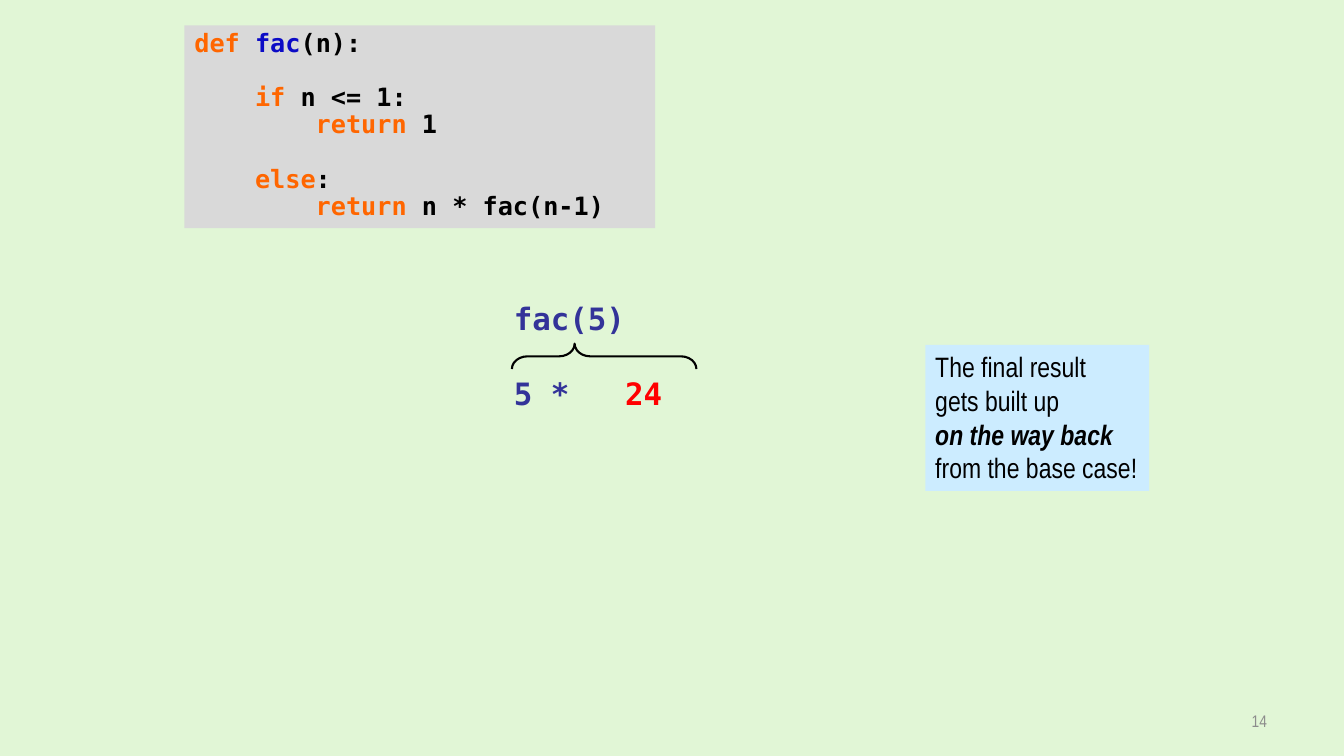
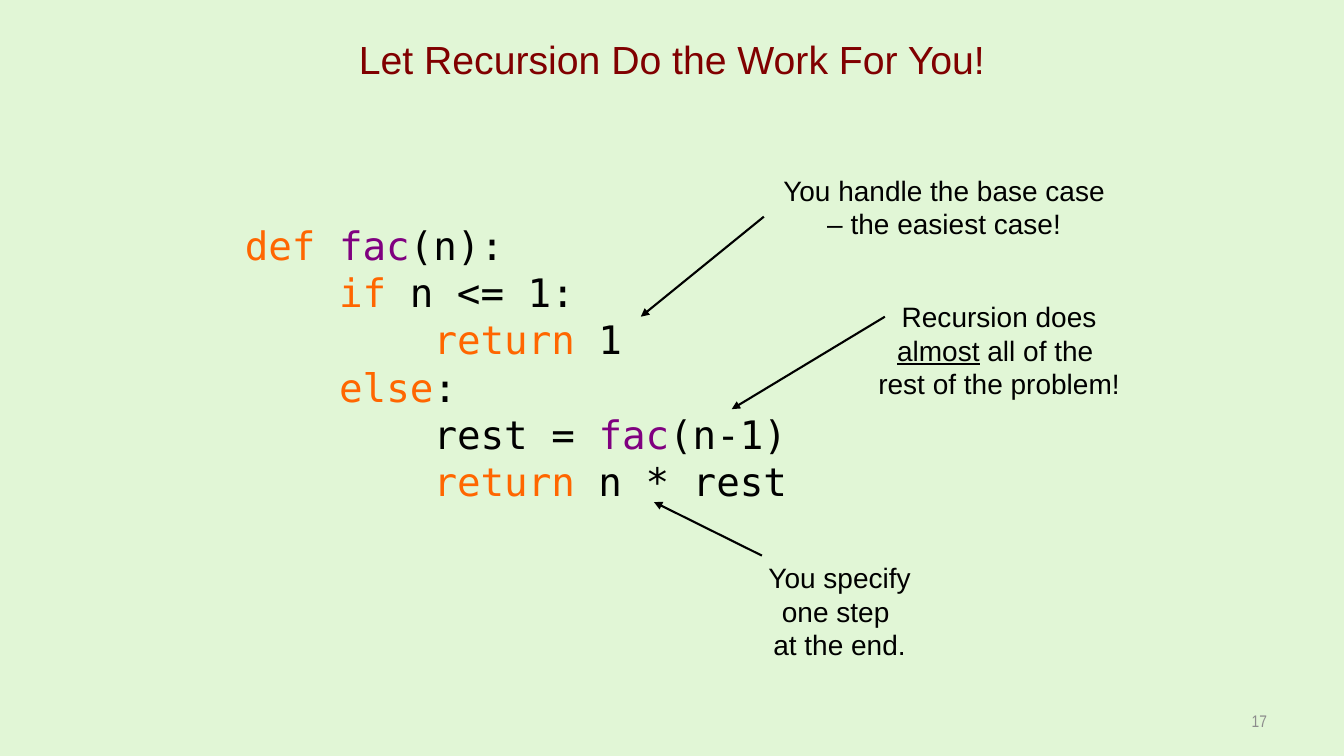
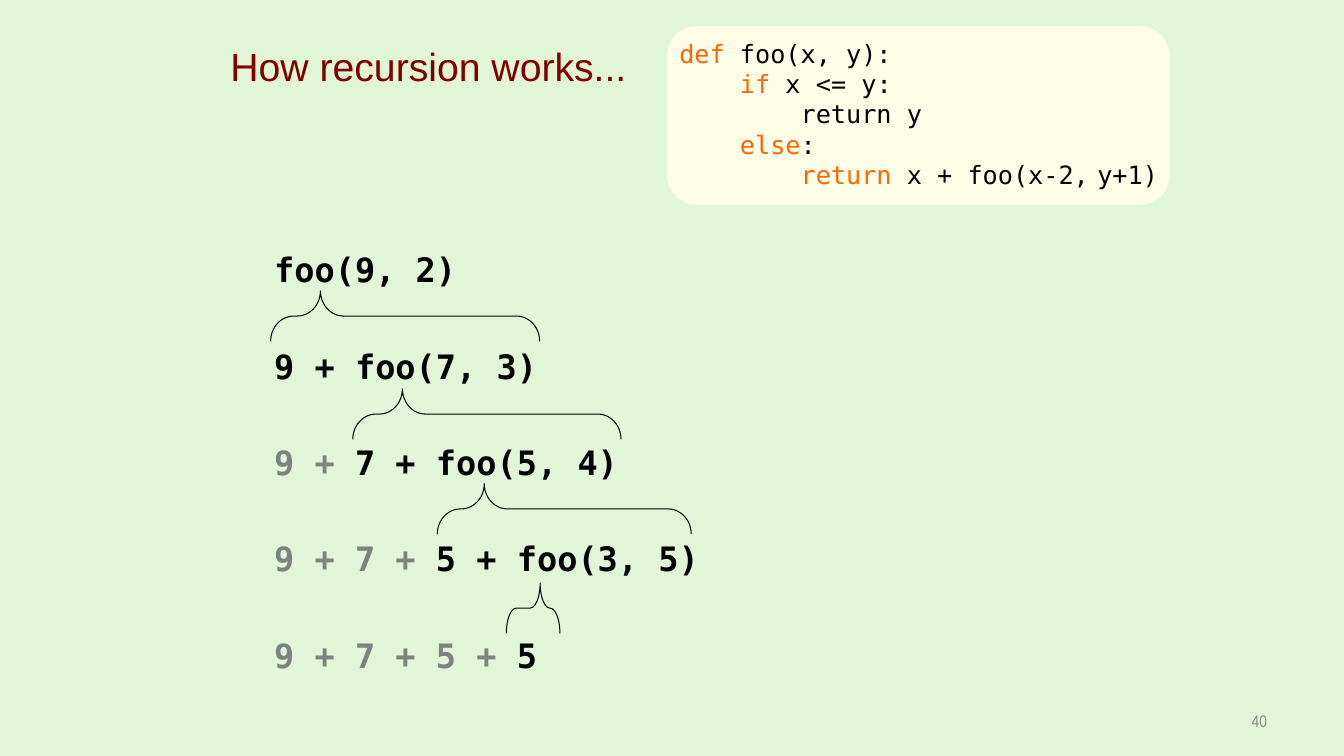
from dataclasses import dataclass
from typing import NamedTuple

from lxml import etree
from pptx import Presentation
from pptx import util as u
from pptx.dml.color import RGBColor
from pptx.enum import shapes, text
from pptx.oxml import ns

COLORS = {
    "background": "E1F6D6", "title": "800000", "ink": "000000",
    "keyword": "FF6600", "name": "0C0BC6", "call": "800080",
    "trace": "333399", "result": "FF0000", "done": "808080",
    "page": "8C8C8C", "code box": "D9D9D9", "note box": "CCECFF",
    "round box": "FFFFE7",
}
MONO, SANS, NARROW = "DejaVu Sans Mono", "Arial", "Arial Narrow"
MONO_ADVANCE = 0.602  # width of a monospaced character, in ems
TITLE_ONLY, BLANK = 5, 6


class Box(NamedTuple):
    """Left, top, width and height in centimetres."""
    left: float
    top: float
    width: float
    height: float

    def lengths(self):
        return [u.Cm(value) for value in self]


@dataclass(frozen=True)
class Style:
    font: str
    size: float
    color: str = "ink"
    bold: bool = False
    align: text.PP_ALIGN = text.PP_ALIGN.LEFT
    spacing: float | u.Length | None = None


@dataclass(frozen=True)
class Span:
    text: str
    color: str | None = None
    size: float | None = None
    bold: bool | None = None
    italic: bool | None = None
    underline: bool | None = None


@dataclass(frozen=True)
class Line:
    spans: tuple[Span, ...]
    level: int = 0       # code indentation, four characters each
    before: float = 0    # space above, in points
    tab: int = 0         # tab stop, in characters


@dataclass(frozen=True)
class Brace:
    """A brace that points up; peak is measured from its right end."""
    left: float
    top: float
    span: float
    depth: float
    curl: float
    peak: float
    weight: float = 0.75


@dataclass(frozen=True)
class Callout:
    box: Box
    spans: tuple[Span, ...]
    start: tuple[float, float]
    tip: tuple[float, float]


TITLE = Style(SANS, 28, "title", align=text.PP_ALIGN.CENTER)
PAGE = Style(NARROW, 12, "page", align=text.PP_ALIGN.RIGHT)


def rgb(color: str) -> RGBColor:
    return RGBColor.from_string(COLORS[color])


def line(*parts: str | Span, level: int = 0, before: float = 0, tab: int = 0) -> Line:
    spans = tuple(Span(part) if isinstance(part, str) else part for part in parts)
    return Line(spans, level, before, tab)


def keyword(word: str) -> Span:
    return Span(word, "keyword")


def write(frame, lines: list[Line], style: Style) -> None:
    for index, content in enumerate(lines):
        paragraph = frame.paragraphs[0] if index == 0 else frame.add_paragraph()
        paragraph.alignment = style.align
        advance = MONO_ADVANCE * style.size
        properties = paragraph._p.get_or_add_pPr()
        if content.level:
            properties.set("marL", str(u.Pt(4 * content.level * advance)))
            properties.set("indent", "0")
        if content.tab:
            stops = etree.SubElement(properties, ns.qn("a:tabLst"))
            etree.SubElement(stops, ns.qn("a:tab"),
                             pos=str(u.Pt(content.tab * advance)), algn="l")
        if style.spacing:
            paragraph.line_spacing = style.spacing
        if content.before:
            paragraph.space_before = u.Pt(content.before)
        font = paragraph.font
        font.name, font.size, font.bold = style.font, u.Pt(style.size), style.bold
        font.color.rgb = rgb(style.color)
        for span in content.spans:
            if span.text == "\n":
                paragraph.add_line_break()
                continue
            run = paragraph.add_run()
            run.text = span.text
            if span.color:
                run.font.color.rgb = rgb(span.color)
            if span.size:
                run.font.size = u.Pt(span.size)
            for trait in ("bold", "italic", "underline"):
                if getattr(span, trait):
                    setattr(run.font, trait, True)


def add_text(slide, box: Box, lines: list[Line], style: Style,
             anchor=text.MSO_ANCHOR.TOP) -> None:
    frame = slide.shapes.add_textbox(*box.lengths()).text_frame
    frame.word_wrap = True
    frame.vertical_anchor = anchor
    write(frame, lines, style)


def add_panel(slide, kind, box: Box, fill: str):
    panel = slide.shapes.add_shape(kind, *box.lengths())
    panel.shadow.inherit = False
    panel.fill.solid()
    panel.fill.fore_color.rgb = rgb(fill)
    panel.line.fill.background()
    panel.text_frame.vertical_anchor = text.MSO_ANCHOR.TOP
    return panel


def add_title(slide, words: str, box: Box, style: Style, anchor) -> None:
    title = slide.shapes.title
    title.left, title.top, title.width, title.height = box.lengths()
    frame = title.text_frame
    frame.auto_size = text.MSO_AUTO_SIZE.NONE
    frame.word_wrap = True
    frame.vertical_anchor = anchor
    write(frame, [line(words)], style)


def add_brace(slide, brace: Brace) -> None:
    # The upright frame shares its centre with the turned one
    shift = (brace.span - brace.depth) / 2
    frame = Box(brace.left + shift, brace.top - shift, brace.depth, brace.span)
    shape = slide.shapes.add_shape(shapes.MSO_SHAPE.LEFT_BRACE, *frame.lengths())
    shape.rotation = 90
    shape.adjustments[0], shape.adjustments[1] = brace.curl, brace.peak
    shape.shadow.inherit = False
    shape.fill.background()
    shape.line.color.rgb = rgb("ink")
    shape.line.width = u.Pt(brace.weight)


def add_arrow(slide, start: tuple[float, float], tip: tuple[float, float]) -> None:
    ends = [u.Cm(value) for value in (*start, *tip)]
    arrow = slide.shapes.add_connector(shapes.MSO_CONNECTOR.STRAIGHT, *ends)
    arrow.line.color.rgb = rgb("ink")
    arrow.line.width = u.Pt(1.5)
    properties = arrow._element.spPr
    etree.SubElement(properties.find(ns.qn("a:ln")), ns.qn("a:tailEnd"), type="triangle")
    etree.SubElement(properties, ns.qn("a:effectLst"))


def new_slide(deck, layout: int, page: int):
    slide = deck.slides.add_slide(deck.slide_layouts[layout])
    add_text(slide, Box(24.28, 17.65, 7.9, 1.02), [line(str(page))], PAGE,
             text.MSO_ANCHOR.MIDDLE)
    return slide


def build_way_back(deck) -> None:
    slide = new_slide(deck, BLANK, 14)

    # Factorial code
    code = add_panel(slide, shapes.MSO_SHAPE.RECTANGLE,
                     Box(4.65, 0.64, 11.86, 5.11), "code box")
    blank_line = 19.5
    write(code.text_frame, [
        line(keyword("def "), Span("fac", "name"), "(n):"),
        line(keyword("if"), " n <= 1:", level=1, before=blank_line),
        line(keyword("return"), " 1", level=2),
        line(keyword("else"), ":", level=1, before=blank_line),
        line(keyword("return"), " n * fac(n-1)", level=2),
    ], Style(MONO, 18, bold=True, spacing=0.9))

    # Last step of the evaluation
    trace = Style(MONO, 22, "trace", bold=True)
    add_text(slide, Box(12.7, 7.42, 8.26, 1.19), [line("fac(5)")], trace)
    add_text(slide, Box(12.7, 9.32, 8.89, 1.19),
             [line("5 *\t", Span("24", "result"), tab=6)], trace)
    add_brace(slide, Brace(12.9, 8.66, 4.65, 0.64, 0.61, 0.66, weight=1.5))

    # Remark
    note = add_panel(slide, shapes.MSO_SHAPE.RECTANGLE,
                     Box(23.32, 8.69, 5.64, 3.68), "note box")
    note.text_frame.word_wrap = False
    write(note.text_frame, [
        line("The final result "),
        line("gets built up "),
        line(Span("on the way back ", bold=True, italic=True)),
        line("from the base case!"),
    ], Style(NARROW, 20))


def build_let_recursion_work(deck) -> None:
    slide = new_slide(deck, TITLE_ONLY, 17)
    add_title(slide, "Let Recursion Do the Work For You!",
              Box(5.5, 0.2, 22.86, 2.54), TITLE, text.MSO_ANCHOR.MIDDLE)

    # Factorial code
    add_text(slide, Box(5.92, 5.46, 21.39, 7.44), [
        line(keyword("def "), Span("fac", "call"), "(n):"),
        line(keyword("if"), " n <= 1: ", level=1),
        line(keyword("return"), " 1", level=2),
        line(keyword("else"), ": ", level=1),
        line("rest = ", Span("fac", "call"), "(n-1)", level=2),
        line(keyword("return"), " n * rest", level=2),
    ], Style(MONO, 28))

    # Remarks with arrows into the code
    callouts = [
        Callout(Box(19.25, 4.24, 9.09, 1.96),
                (Span("You handle the base case – the easiest case!"),),
                (19.25, 5.46), (16.15, 7.98)),
        Callout(Box(21.56, 7.42, 7.24, 2.82),
                (Span("Recursion does "), Span("almost", underline=True),
                 Span(" all of the "), Span("\n"), Span("rest of the problem!")),
                (22.3, 7.98), (18.44, 10.31)),
        Callout(Box(18.67, 14, 4.98, 2.82),
                (Span("You specify one step "), Span("\n"), Span("at the end.")),
                (19.2, 14), (16.48, 12.65)),
    ]
    remark = Style(SANS, 20, align=text.PP_ALIGN.CENTER)
    for callout in callouts:
        add_text(slide, callout.box, [Line(callout.spans)], remark)
        add_arrow(slide, callout.start, callout.tip)


def build_how_recursion_works(deck) -> None:
    slide = new_slide(deck, TITLE_ONLY, 40)
    tight_title = Style(SANS, 28, "title", align=text.PP_ALIGN.CENTER, spacing=u.Pt(14))
    add_title(slide, "How recursion works...", Box(5.08, 1.63, 11.43, 0.86),
              tight_title, text.MSO_ANCHOR.TOP)

    # Code of foo
    add_panel(slide, shapes.MSO_SHAPE.ROUNDED_RECTANGLE,
              Box(16.81, 0.66, 12.67, 4.5), "round box")
    add_text(slide, Box(16.87, 0.84, 12.78, 4.11), [
        line(keyword("def "), "foo(x, y):"),
        line(keyword("if"), " x <= y: ", level=1),
        line("return y", level=2),
        line(keyword("else"), ":", level=1),
        line(keyword("return "), "x + foo(x-2,", Span(" ", size=10), "y+1)", level=2),
    ], Style(MONO, 18))

    # Evaluation steps: finished terms in grey, the live part in black
    terms = (9, 7, 5)
    live_parts = ("foo(9, 2)", "9 + foo(7, 3)", "7 + foo(5, 4)", "5 + foo(3, 5)", "5")
    for step, live in enumerate(live_parts):
        done = "".join(f"{term} + " for term in terms[:max(step - 1, 0)])
        parts = [Span(done, "done"), live] if done else [live]
        add_text(slide, Box(6.66, 6.15 + 2.43 * step, 14, 1.3), [line(*parts)],
                 Style(MONO, 24, bold=True))

    # Braces from each call to its expansion
    for left, top, span, curl, peak in (
        (6.82, 7.33, 6.78, 0.46, 0.815),
        (8.89, 9.8, 6.76, 0.46, 0.815),
        (11.02, 12.19, 6.4, 0.46, 0.815),
        (12.76, 14.69, 1.35, 0.22, 0.37),
    ):
        add_brace(slide, Brace(left, top, span, 1.27, curl, peak))


def main() -> None:
    deck = Presentation()
    deck.slide_width, deck.slide_height = u.Cm(33.87), u.Cm(19.05)
    backdrop = deck.slide_master.background.fill
    backdrop.solid()
    backdrop.fore_color.rgb = rgb("background")
    build_way_back(deck)
    build_let_recursion_work(deck)
    build_how_recursion_works(deck)
    deck.save("out.pptx")


main()
